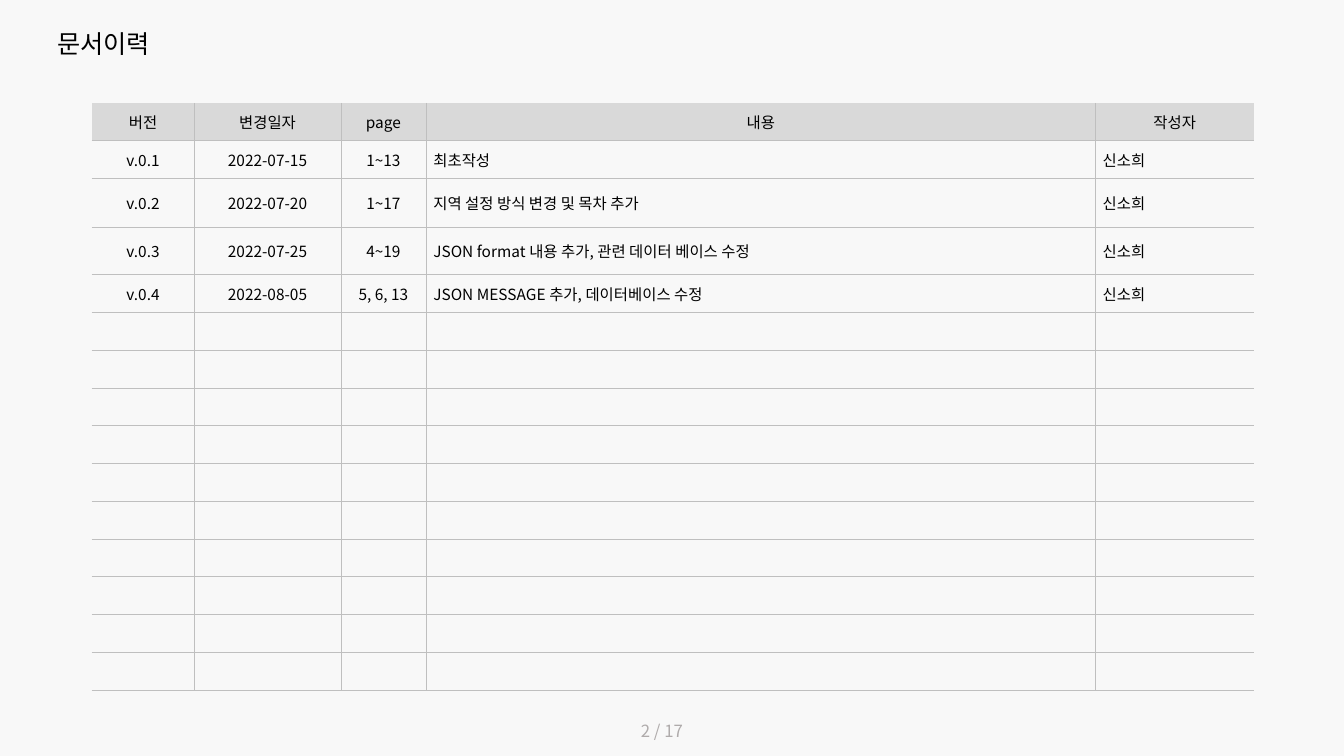
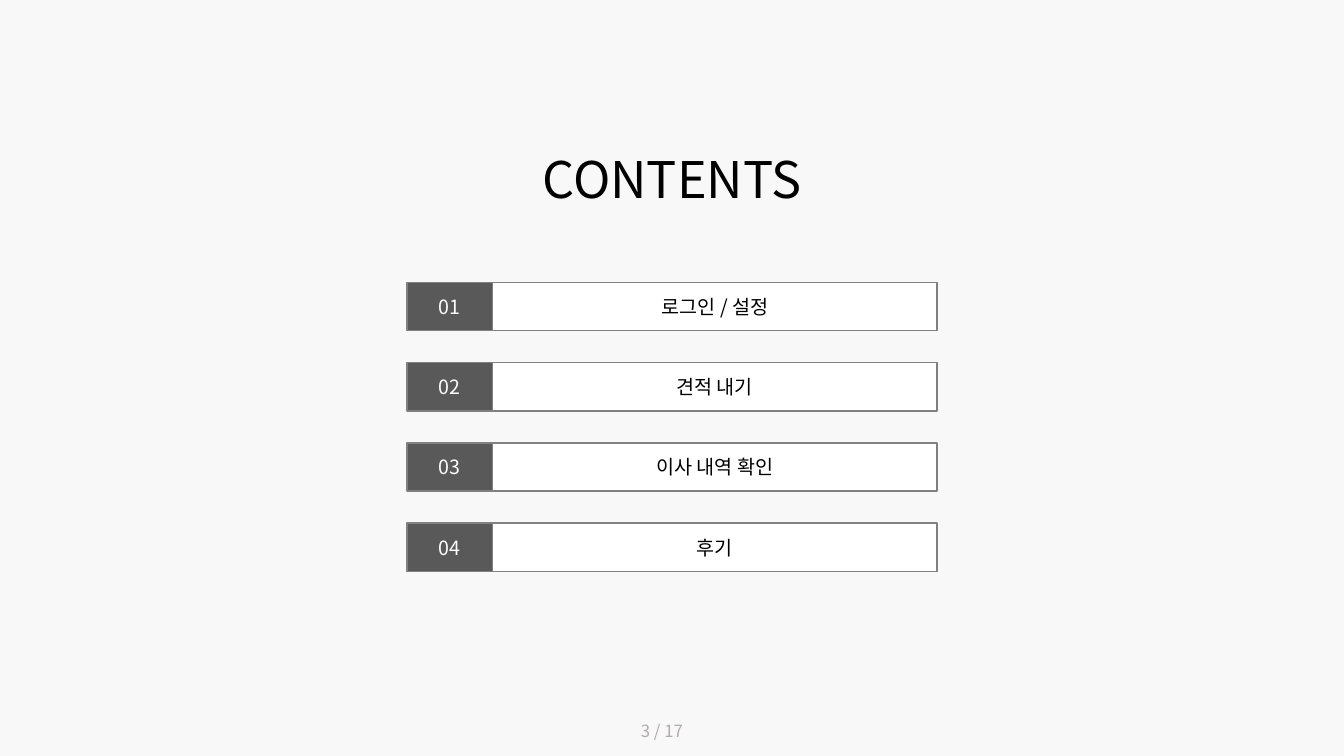
from lxml.etree import SubElement
from pptx import Presentation
from pptx.dml.color import RGBColor
from pptx.enum.shapes import MSO_SHAPE
from pptx.enum.text import MSO_ANCHOR, PP_ALIGN
from pptx.oxml.ns import qn
from pptx.util import Inches, Pt

FONT = "Noto Sans CJK KR"
INK, WHITE, PAPER = "000000", "FFFFFF", "F8F8F8"
HEAD, RULE, DARK, EDGE, MUTE = "D9D9D9", "BFBFBF", "595959", "808080", "AFABAB"
LEFT, MID = PP_ALIGN.LEFT, PP_ALIGN.CENTER
TOTAL = 17


def color(code):
    return RGBColor.from_string(code)


class Deck:
    """Holds the style and the current slide; lengths are percent of the slide."""

    def __init__(self):
        self.prs = Presentation()
        self.prs.slide_width, self.prs.slide_height = Inches(13.33), Inches(7.5)
        self.paint(self.prs.slide_master.background, PAPER)
        self.slide = None

    def wide(self, share):
        return round(self.prs.slide_width * share / 100)

    def high(self, share):
        return round(self.prs.slide_height * share / 100)

    def area(self, x, y, w, h):
        return self.wide(x), self.high(y), self.wide(w), self.high(h)

    def paint(self, item, code):
        item.fill.solid()
        item.fill.fore_color.rgb = color(code)

    def label(self, frame, words, size, code=INK, align=LEFT):
        para = frame.paragraphs[0]
        para.alignment = align
        font = para.font
        font.size, font.name = Pt(size), FONT
        font.color.rgb = color(code)
        # Korean glyphs take the East Asian font
        base = para._p.pPr.find(qn("a:defRPr"))
        SubElement(base, qn("a:ea"), typeface=FONT)
        if words:
            para.add_run().text = words
        else:
            SubElement(para._p, qn("a:endParaRPr"), sz=str(size * 100))

    def page(self, num):
        self.slide = self.prs.slides.add_slide(self.prs.slide_layouts[6])
        self.text((46.95, 94.67, 6.15, 4), f"{num} / {TOTAL}", 12, MUTE)

    def text(self, spot, words, size, code=INK, align=LEFT):
        frame = self.slide.shapes.add_textbox(*self.area(*spot)).text_frame
        frame.word_wrap = True
        self.label(frame, words, size, code, align)

    def box(self, group, spot, words, back, code):
        box = group.shapes.add_shape(MSO_SHAPE.RECTANGLE, *self.area(*spot))
        box.shadow.inherit = False
        self.paint(box, back)
        box.line.color.rgb = color(EDGE)
        box.line.width = Pt(1)
        box.text_frame.vertical_anchor = MSO_ANCHOR.MIDDLE
        self.label(box.text_frame, words, 14, code, MID)

    def entry(self, top, num, name):
        group = self.slide.shapes.add_group_shape()
        self.box(group, (36.65, top, 33.07, 6.4), name, WHITE, INK)
        self.box(group, (30.3, top, 6.35, 6.4), f"{num:02}", DARK, WHITE)

    def border(self, cell, drawn):
        props = cell._tc.get_or_add_tcPr()
        for side in "LRTB":
            line = SubElement(props, qn("a:ln" + side), w=str(Pt(0.25)))
            if side in drawn:
                fill = SubElement(line, qn("a:solidFill"))
                SubElement(fill, qn("a:srgbClr"), val=RULE)
            else:
                SubElement(line, qn("a:noFill"))

    def cell(self, cell, words, head, align, drawn):
        self.border(cell, drawn)
        if head:
            self.paint(cell, HEAD)
        else:
            cell.fill.background()
        cell.vertical_anchor = MSO_ANCHOR.MIDDLE
        cell.margin_left = cell.margin_right = self.wide(0.53)
        cell.margin_top = cell.margin_bottom = self.high(0.53)
        self.label(cell.text_frame, words, 11, INK, align)

    def table(self, x, y, cols, rows, data, aligns):
        spot = self.area(x, y, sum(cols), sum(rows))
        grid = self.slide.shapes.add_table(len(rows), len(cols), *spot).table
        grid.first_row = grid.horz_banding = False
        for col, share in zip(grid.columns, cols):
            col.width = self.wide(share)
        for row, share in zip(grid.rows, rows):
            row.height = self.high(share)
        last = len(cols) - 1
        for r in range(len(rows)):
            words = data[r] if r < len(data) else [""] * len(cols)
            for c, word in enumerate(words):
                # Outer left, right and top edges stay open
                drawn = "B" + "T" * (r > 0) + "L" * (c > 0) + "R" * (c < last)
                align = aligns[c] if r else MID
                self.cell(grid.cell(r, c), word, r == 0, align, drawn)


deck = Deck()

# Document history
deck.page(2)
deck.text((3.52, 3.07, 15.45, 5.33), "문서이력", 18)
log = [
    ("버전", "변경일자", "page", "내용", "작성자"),
    ("v.0.1", "2022-07-15", "1~13", "최초작성", "신소희"),
    ("v.0.2", "2022-07-20", "1~17", "지역 설정 방식 변경 및 목차 추가", "신소희"),
    ("v.0.3", "2022-07-25", "4~19",
     "JSON format 내용 추가, 관련 데이터 베이스 수정", "신소희"),
    ("v.0.4", "2022-08-05", "5, 6, 13",
     "JSON MESSAGE 추가, 데이터베이스 수정", "신소희"),
]
deck.table(6.82, 13.6, [7.65, 10.88, 6.37, 49.8, 11.78],
           [5, 5, 6.45, 6.25] + [5] * 11, log, [MID, MID, MID, LEFT, LEFT])

# Contents
deck.page(3)
deck.text((37.2, 18.93, 25.58, 9.47), "CONTENTS", 36, align=MID)
for num, name in enumerate(["로그인 / 설정", "견적 내기", "이사 내역 확인", "후기"], 1):
    deck.entry(37.33 + 10.62 * (num - 1), num, name)

deck.prs.save("out.pptx")
